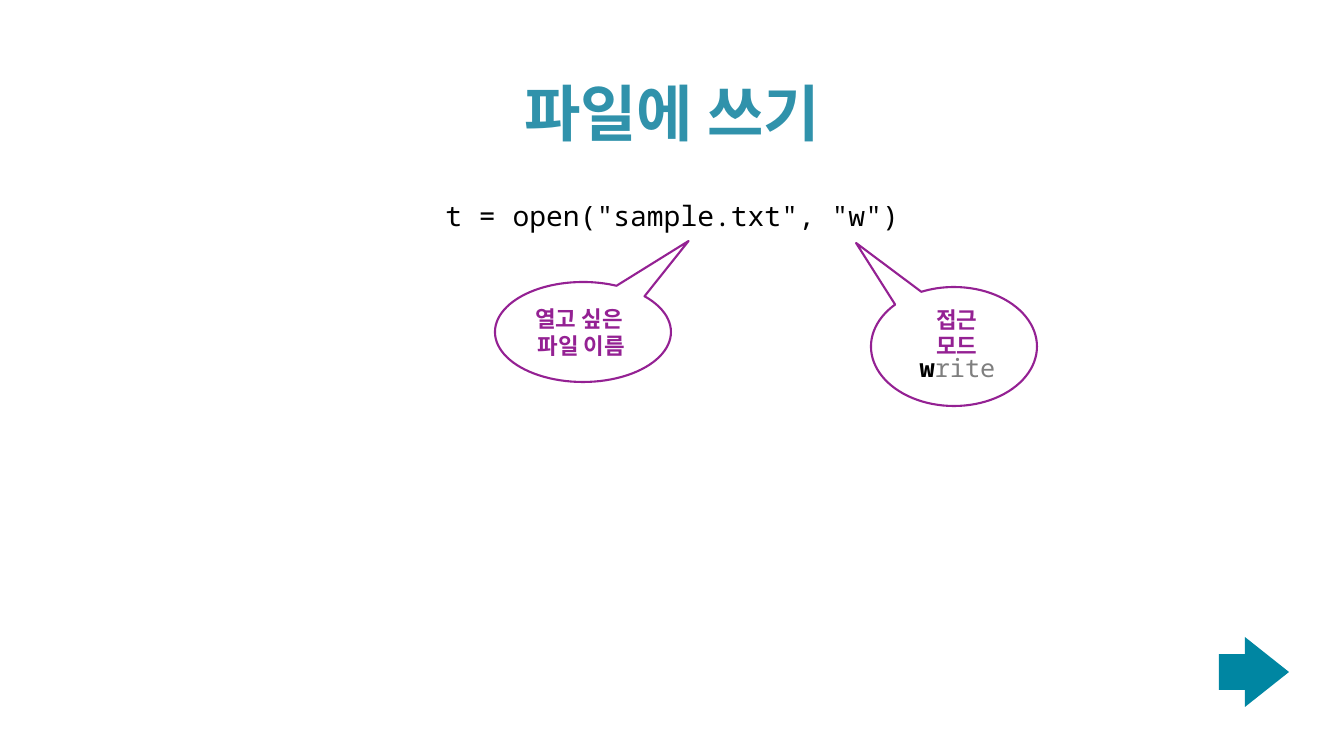
from lxml import etree
from pptx import Presentation
from pptx.dml.color import RGBColor
from pptx.enum.shapes import MSO_SHAPE
from pptx.enum.text import MSO_ANCHOR, MSO_AUTO_SIZE, PP_ALIGN
from pptx.oxml.ns import qn
from pptx.util import Emu, Pt

CALLOUT, ARROW = MSO_SHAPE.OVAL_CALLOUT, MSO_SHAPE.RIGHT_ARROW
MIDDLE, BOTTOM = MSO_ANCHOR.MIDDLE, MSO_ANCHOR.BOTTOM
CENTER = PP_ALIGN.CENTER
GROW, FIXED = MSO_AUTO_SIZE.SHAPE_TO_FIT_TEXT, MSO_AUTO_SIZE.NONE

WHITE = RGBColor(0xFF, 0xFF, 0xFF)
BLACK = RGBColor(0x00, 0x00, 0x00)
TITLE_BLUE = RGBColor(0x30, 0x92, 0xAB)
PURPLE = RGBColor(0x94, 0x21, 0x93)
TEAL = RGBColor(0x00, 0x86, 0xA2)

SANS, MONO = "Arial", "Noto Sans Mono"
EMU_PER_PX = 914400 / 50.4


def px(*lengths):
    """Turn px lengths into EMU."""
    return [Emu(round(length * EMU_PER_PX)) for length in lengths]


def set_frame(frame, inset, anchor, wrap=True):
    frame.margin_left = frame.margin_right = px(inset)[0]
    frame.margin_top = frame.margin_bottom = px(inset)[0]
    frame.vertical_anchor = anchor
    frame.word_wrap = wrap
    frame.auto_size = FIXED if wrap else GROW


def add_run(paragraph, text, font_name, size, color, bold=False, opacity=100):
    run = paragraph.add_run()
    run.text = text
    run.font.name = font_name
    run.font.size = Pt(size)
    run.font.bold = bold
    run.font.color.rgb = color
    if opacity < 100:
        srgb = run.font.fill._xPr.find(qn("a:solidFill")).find(qn("a:srgbClr"))
        etree.SubElement(srgb, qn("a:alpha")).set("val", str(opacity * 1000))


def add_text(slide, box, lines, wrap=True):
    """Place centred lines, each a list of runs (text, font, size, colour, ...)."""
    frame = slide.shapes.add_textbox(*px(*box)).text_frame
    set_frame(frame, 4, MIDDLE, wrap)
    for index, runs in enumerate(lines):
        paragraph = frame.add_paragraph() if index else frame.paragraphs[0]
        paragraph.alignment = CENTER
        for run in runs:
            add_run(paragraph, *run)


def add_title(slide, box, text):
    title = slide.shapes.title
    title.left, title.top, title.width, title.height = px(*box)
    title.fill.solid()
    title.fill.fore_color.rgb = WHITE
    set_frame(title.text_frame, 3, BOTTOM)
    paragraph = title.text_frame.paragraphs[0]
    paragraph.alignment = CENTER
    add_run(paragraph, text, SANS, 87.6, TITLE_BLUE, True)


def add_bubble(slide, box, tip, label_box, label_lines):
    """Draw a callout; label_box is relative to the bubble's corner."""
    bubble = slide.shapes.add_shape(CALLOUT, *px(*box))
    bubble.adjustments[0], bubble.adjustments[1] = tip
    bubble.shadow.inherit = False
    bubble.fill.background()
    bubble.line.color.rgb = PURPLE
    bubble.line.width = Pt(3)
    left, top, width, height = label_box
    add_text(slide, (box[0] + left, box[1] + top, width, height),
             [[(line, SANS, 32, PURPLE, True)] for line in label_lines])


def add_next_arrow(slide, box):
    arrow = slide.shapes.add_shape(ARROW, *px(*box))
    arrow.adjustments[0], arrow.adjustments[1] = 0.51, 0.63
    arrow.shadow.inherit = False
    arrow.fill.solid()
    arrow.fill.fore_color.rgb = TEAL
    arrow.line.fill.background()


def main():
    presentation = Presentation()
    presentation.slide_width, presentation.slide_height = px(1344, 756)
    slide = presentation.slides.add_slide(presentation.slide_layouts[5])

    add_title(slide, (497, 67, 350, 85), "파일에 쓰기")
    add_bubble(slide, (495, 282, 176, 100), (0.6, -0.91),
               (33, 15, 107, 71), ["열고 싶은 ", "파일 이름"])
    add_bubble(slide, (871, 287, 166, 119), (-0.59, -0.87),
               (39, 27, 94, 37), ["접근 모드"])
    add_next_arrow(slide, (1219, 637, 70, 70))
    add_text(slide, (440, 195, 464, 41),
             [[('t = open("sample.txt", "w")', MONO, 40, BLACK)]], wrap=False)
    add_text(slide, (915, 348, 85, 38),
             [[("w", MONO, 36, BLACK, True),
               ("rite", MONO, 36, BLACK, False, 50)]], wrap=False)

    presentation.save("out.pptx")


if __name__ == "__main__":
    main()
